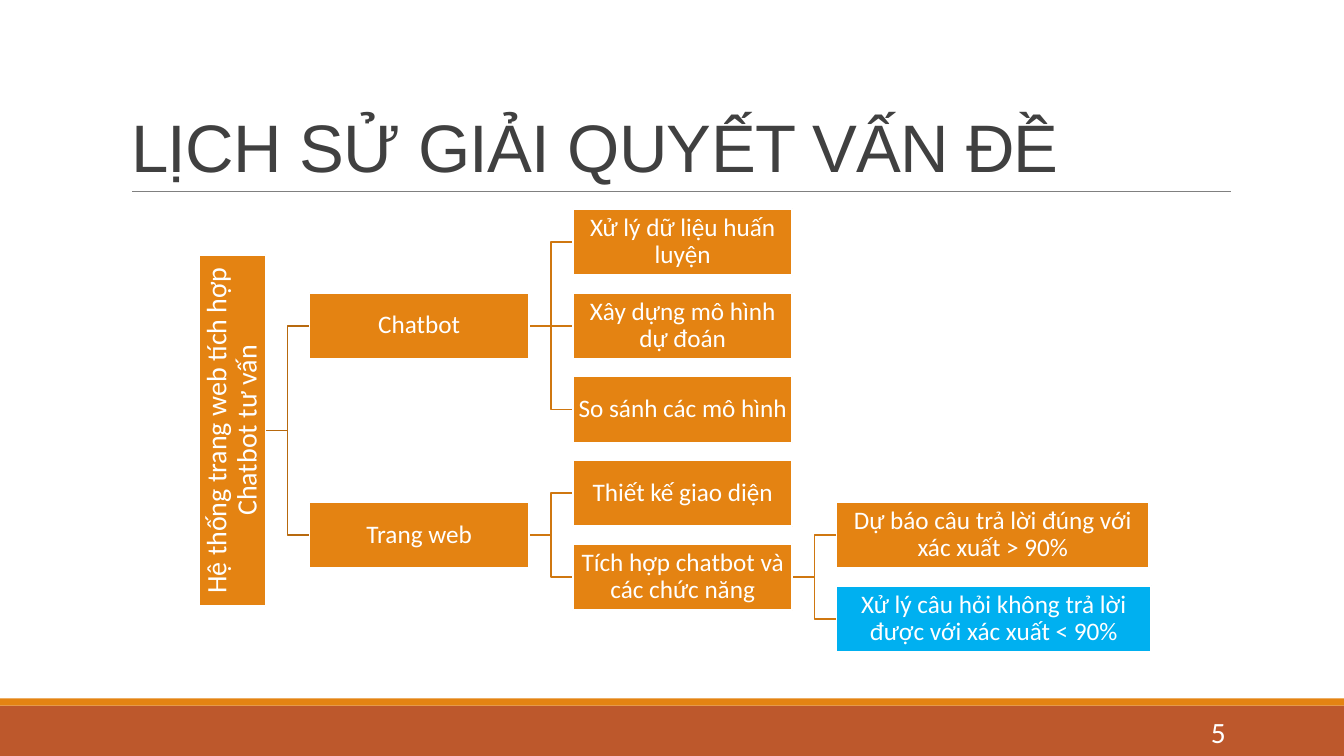
from lxml import etree
from pptx import Presentation
from pptx import util as u
from pptx.dml.color import RGBColor
from pptx.enum import shapes, text
from pptx.oxml.ns import qn

ORANGE = RGBColor(0xE4, 0x83, 0x12)
RUST = RGBColor(0xBD, 0x58, 0x2C)
BLUE = RGBColor(0x00, 0xB0, 0xF0)
WHITE = RGBColor(0xFF, 0xFF, 0xFF)
DARK_GREY = RGBColor(0x40, 0x40, 0x40)
GREY = RGBColor(0x80, 0x80, 0x80)
ROOT_LINK = RGBColor(0xB7, 0x69, 0x0E)
BRANCH_LINK = RGBColor(0xCF, 0x77, 0x10)

FIRST_LEFT, COLUMN_STEP = 7.8, 6.64
FIRST_CENTRE, ROW_STEP = 6.1, 2.11
BOX_WIDTH, BOX_HEIGHT = 5.53, 1.67
ROOT_CENTRE, ROOT_LENGTH, ROOT_ROW = 5.86, 8.86, 2.25

NODES = [
    (0, 1, "Chatbot", BOX_WIDTH, ORANGE, ROOT_ROW),
    (0, 3.5, "Trang web", BOX_WIDTH, ORANGE, ROOT_ROW),
    (1, 0, "Xử lý dữ liệu huấn luyện", BOX_WIDTH, ORANGE, 1),
    (1, 1, "Xây dựng mô hình dự đoán", BOX_WIDTH, ORANGE, 1),
    (1, 2, "So sánh các mô hình", BOX_WIDTH, ORANGE, 1),
    (1, 3, "Thiết kế giao diện", BOX_WIDTH, ORANGE, 3.5),
    (1, 4, "Tích hợp chatbot và các chức năng", BOX_WIDTH, ORANGE, 3.5),
    (2, 3.5, "Dự báo câu trả lời đúng với xác xuất > 90%", 7.88, ORANGE, 4),
    (2, 4.5, "Xử lý câu hỏi không trả lời được với xác xuất < 90%", 7.93, BLUE, 4),
]


def column_left(column):
    """Return the left edge of a tree column in centimetres."""
    return FIRST_LEFT + column * COLUMN_STEP


def row_centre(row):
    """Return the vertical centre of a tree row in centimetres."""
    return FIRST_CENTRE + row * ROW_STEP


class TreeSlide:
    """Draws styled elements on one slide."""

    body_font = "Calibri"
    title_font = "Arial"

    def __init__(self, presentation):
        """Add a title-only slide."""
        self.slide = presentation.slides.add_slide(presentation.slide_layouts[5])

    def add_words(self, frame, words, size, color, font, align, spacing=1.0):
        """Add one formatted run to a frame and return it."""
        frame.word_wrap = True
        frame.auto_size = text.MSO_AUTO_SIZE.NONE
        paragraph = frame.paragraphs[0]
        paragraph.alignment = align
        paragraph.line_spacing = spacing
        run = paragraph.add_run()
        run.text = words
        run.font.name = font
        run.font.size = u.Pt(size)
        run.font.color.rgb = color
        return run

    def title(self, words, left, top, width, height):
        """Place and fill the title."""
        shape = self.slide.shapes.title
        shape.left, shape.top = u.Cm(left), u.Cm(top)
        shape.width, shape.height = u.Cm(width), u.Cm(height)
        shape.text_frame.vertical_anchor = text.MSO_ANCHOR.BOTTOM
        run = self.add_words(shape.text_frame, words, 48, DARK_GREY,
                             self.title_font, text.PP_ALIGN.LEFT, 0.85)
        run._r.get_or_add_rPr().set("spc", "-50")

    def rectangle(self, left, top, width, height, fill):
        """Draw a plain filled rectangle."""
        shape = self.slide.shapes.add_shape(
            shapes.MSO_SHAPE.RECTANGLE,
            u.Cm(left), u.Cm(top), u.Cm(width), u.Cm(height))
        shape.shadow.inherit = False
        shape.fill.solid()
        shape.fill.fore_color.rgb = fill
        shape.line.fill.background()
        return shape

    def box(self, left, centre, width, words, fill, size=18, rotation=0):
        """Draw a labelled tree box around a vertical centre."""
        shape = self.rectangle(left, centre - BOX_HEIGHT / 2, width, BOX_HEIGHT, fill)
        shape.rotation = rotation
        shape.line.color.rgb = WHITE
        shape.line.width = u.Pt(1.25)
        frame = shape.text_frame
        frame.margin_left = frame.margin_right = u.Cm(0.03)
        frame.margin_top = frame.margin_bottom = u.Cm(0.03)
        frame.vertical_anchor = text.MSO_ANCHOR.MIDDLE
        self.add_words(frame, words, size, WHITE, self.body_font,
                       text.PP_ALIGN.CENTER, 0.9)

    def link(self, start, end, color):
        """Draw a stepped link between two points."""
        middle = (start[0] + end[0]) / 2
        corners = [(middle, start[1]), (middle, end[1]), end]
        builder = self.slide.shapes.build_freeform(u.Cm(start[0]), u.Cm(start[1]))
        builder.add_line_segments([(u.Cm(x), u.Cm(y)) for x, y in corners], close=False)
        shape = builder.convert_to_shape()
        shape.shadow.inherit = False
        shape.fill.background()
        shape.line.color.rgb = color
        shape.line.width = u.Pt(1.25)

    def rule(self, left, right, top):
        """Draw a thin horizontal rule."""
        line = self.slide.shapes.add_connector(
            shapes.MSO_CONNECTOR.STRAIGHT, u.Cm(left), u.Cm(top), u.Cm(right), u.Cm(top))
        line.line.color.rgb = GREY
        line.line.width = u.Pt(0.5)
        etree.SubElement(line._element.spPr, qn("a:effectLst"))

    def number(self, words, left, top, width, height):
        """Add the slide number."""
        shape = self.slide.shapes.add_textbox(
            u.Cm(left), u.Cm(top), u.Cm(width), u.Cm(height))
        shape.text_frame.vertical_anchor = text.MSO_ANCHOR.MIDDLE
        self.add_words(shape.text_frame, words, 21, WHITE, self.body_font,
                       text.PP_ALIGN.RIGHT)


def main():
    """Build and save the presentation."""
    presentation = Presentation()
    presentation.slide_width, presentation.slide_height = u.Cm(33.87), u.Cm(19.05)
    page = TreeSlide(presentation)
    page.rectangle(0, 17.78, 33.87, 1.27, RUST)
    page.rectangle(0, 17.6, 33.87, 0.18, ORANGE)
    page.rule(3.33, 31.01, 4.82)
    page.title("LỊCH SỬ GIẢI QUYẾT VẤN ĐỀ", 3.05, 0.79, 27.94, 4.03)

    for column, row, _, _, _, parent_row in NODES:
        if column == 0:
            start, color = ROOT_CENTRE + BOX_HEIGHT / 2, ROOT_LINK
        else:
            start, color = column_left(column - 1) + BOX_WIDTH, BRANCH_LINK
        page.link((start, row_centre(parent_row)),
                  (column_left(column), row_centre(row)), color)

    page.box(ROOT_CENTRE - ROOT_LENGTH / 2, row_centre(ROOT_ROW), ROOT_LENGTH,
             "Hệ thống trang web tích hợp Chatbot tư vấn", ORANGE, 20, 270)
    for column, row, label, width, fill, _ in NODES:
        page.box(column_left(column), row_centre(row), width, label, fill)

    page.number("5", 27.51, 17.94, 3.63, 1.01)
    presentation.save("out.pptx")


if __name__ == "__main__":
    main()
